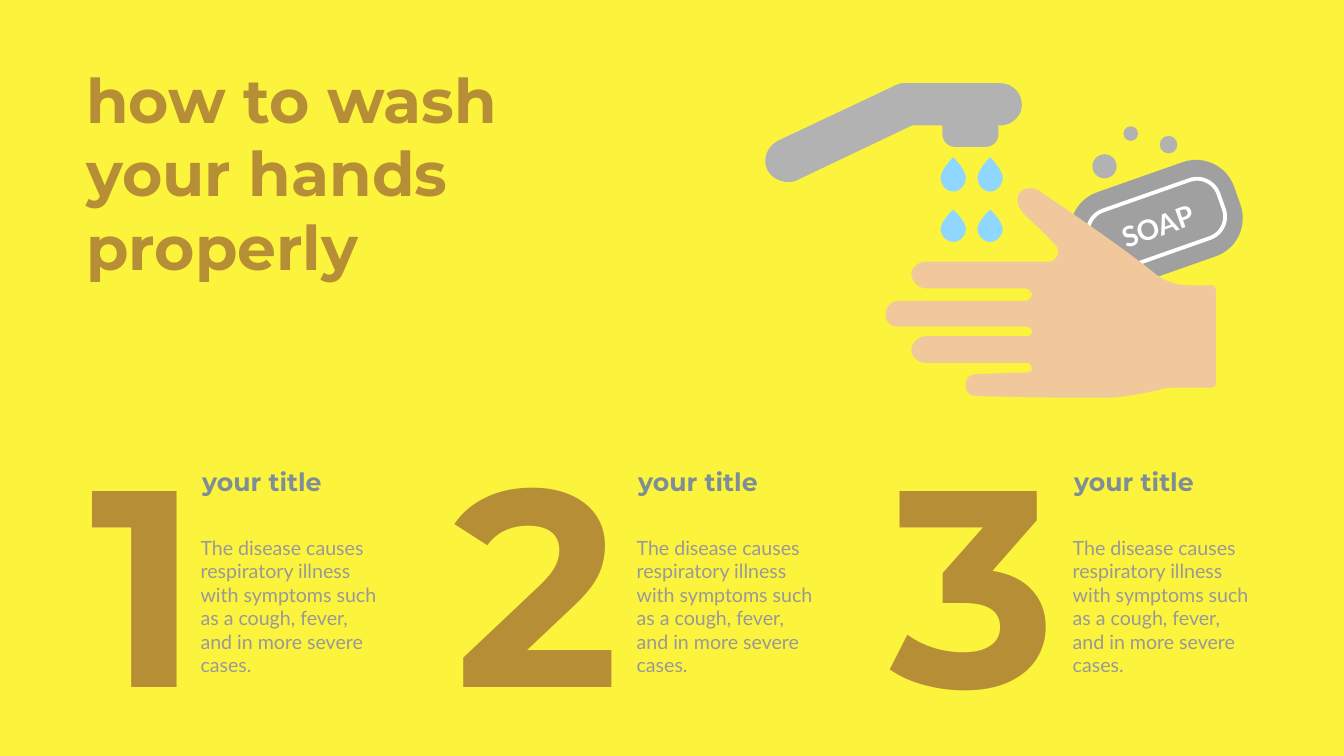
from dataclasses import dataclass

from pptx import Presentation
from pptx.dml.color import RGBColor
from pptx.enum.shapes import MSO_SHAPE
from pptx.enum.text import MSO_ANCHOR, MSO_AUTO_SIZE, PP_ALIGN
from pptx.util import Inches, Pt

OVAL = MSO_SHAPE.OVAL
ROUNDED = MSO_SHAPE.ROUNDED_RECTANGLE
TOP, MIDDLE = MSO_ANCHOR.TOP, MSO_ANCHOR.MIDDLE
LEFT, CENTER = PP_ALIGN.LEFT, PP_ALIGN.CENTER
FIXED_SIZE = MSO_AUTO_SIZE.NONE

COLUMNS, ROWS = 26.66, 15  # square grid cells
CELL = Inches(1)
TITLE_ONLY_LAYOUT = 5
CURVE_STEPS = 10


@dataclass(frozen=True)
class Theme:
    background: str = "FCF33D"
    accent: str = "B68E35"
    heading: str = "7E8E96"
    body: str = "999999"
    soap: str = "9FA09F"
    metal: str = "B1B2B1"
    skin: str = "F0C89C"
    water: str = "8FD7FF"
    white: str = "FFFFFF"
    display_font: str = "Montserrat"
    text_font: str = "Lato"
    title_size: int = 88
    number_size: int = 400
    heading_size: int = 36
    body_size: int = 28
    soap_size: int = 40


def cells(*values):
    return [round(value * CELL) for value in values]


def write_text(shape, text, *, font, size, color, bold=False, align=LEFT, anchor=TOP):
    frame = shape.text_frame
    frame.word_wrap = True
    frame.auto_size = FIXED_SIZE
    frame.vertical_anchor = anchor
    frame.margin_left = frame.margin_right = Inches(0.1)
    frame.margin_top = frame.margin_bottom = Inches(0.05)
    frame.text = text
    paragraph = frame.paragraphs[0]
    paragraph.alignment = align
    run_font = paragraph.runs[0].font
    run_font.name, run_font.size, run_font.bold = font, Pt(size), bold
    run_font.color.rgb = RGBColor.from_string(color)


def flatten(start, segments):
    """Turn line ends (x, y) and cubic curves (three points in one tuple) into points."""
    points = [start]
    for segment in segments:
        if len(segment) == 2:
            points.append(segment)
            continue
        x0, y0 = points[-1]
        x1, y1, x2, y2, x3, y3 = segment
        for step in range(1, CURVE_STEPS + 1):
            t = step / CURVE_STEPS
            a, b, c, d = (1 - t) ** 3, 3 * t * (1 - t) ** 2, 3 * t * t * (1 - t), t ** 3
            points.append((a * x0 + b * x1 + c * x2 + d * x3,
                           a * y0 + b * y1 + c * y2 + d * y3))
    return points


class SlideBuilder:
    def __init__(self, slide, theme):
        self.slide = slide
        self.theme = theme
        fill = slide.background.fill
        fill.solid()
        fill.fore_color.rgb = RGBColor.from_string(theme.background)

    def title(self, text, left, top, width, height, **style):
        shape = self.slide.shapes.title
        shape.left, shape.top, shape.width, shape.height = cells(left, top, width, height)
        write_text(shape, text, **style)

    def text(self, text, left, top, width, height, rotation=0, **style):
        shape = self.slide.shapes.add_textbox(*cells(left, top, width, height))
        shape.rotation = rotation
        write_text(shape, text, **style)

    def paint(self, shape, fill=None, line=None, line_width=0):
        shape.shadow.inherit = False
        if fill:
            shape.fill.solid()
            shape.fill.fore_color.rgb = RGBColor.from_string(fill)
        else:
            shape.fill.background()
        if line:
            shape.line.color.rgb = RGBColor.from_string(line)
            shape.line.width = Pt(line_width)
        else:
            shape.line.fill.background()

    def centered(self, kind, center, size, radius=None, rotation=0, **colors):
        """Add a preset shape around its centre, with a corner radius in cells."""
        (x, y), (width, height) = center, size
        shape = self.slide.shapes.add_shape(
            kind, *cells(x - width / 2, y - height / 2, width, height))
        if radius is not None:
            shape.adjustments[0] = radius / min(size)
        shape.rotation = rotation
        self.paint(shape, **colors)

    def outline(self, start, segments, fill):
        points = [cells(*point) for point in flatten(start, segments)]
        builder = self.slide.shapes.build_freeform(*points[0])
        builder.add_line_segments(points[1:], close=True)
        self.paint(builder.convert_to_shape(), fill)

    def step(self, number, number_left, text_left, heading, body):
        theme = self.theme
        self.text(number, number_left, 8.04, 3.72, 6.83, font=theme.display_font,
                  size=theme.number_size, color=theme.accent, bold=True)
        self.text(heading, text_left + 0.03, 9.21, 3.72, 0.71, font=theme.display_font,
                  size=theme.heading_size, color=theme.heading, bold=True)
        self.text(body, text_left, 10.58, 3.72, 2.93, font=theme.text_font,
                  size=theme.body_size, color=theme.body)

    def soap(self):
        theme, center, tilt = self.theme, (22.94, 4.45), -19.4
        self.centered(ROUNDED, center, (3.4, 1.98), 0.8, tilt, fill=theme.soap)
        self.centered(ROUNDED, center, (2.72, 1.22), 0.45, tilt,
                      line=theme.white, line_width=5.5)
        self.text("SOAP", 21.96, 3.98, 2, 1, tilt, font=theme.text_font,
                  size=theme.soap_size, color=theme.white, bold=True,
                  align=CENTER, anchor=MIDDLE)
        for x, y, diameter in ((21.91, 3.3, 0.48), (22.43, 2.65, 0.29), (23.18, 2.87, 0.35)):
            self.centered(OVAL, (x, y), (diameter, diameter), fill=theme.metal)

    def drop(self, x, top, height):
        widest, bottom = top + 0.6 * height, top + height
        self.outline((x, top), [
            (x, top, x + 0.25, top + 0.36 * height, x + 0.25, widest),
            (x + 0.25, bottom - 0.14, x + 0.14, bottom, x, bottom),
            (x - 0.14, bottom, x - 0.25, bottom - 0.14, x - 0.25, widest),
            (x - 0.25, top + 0.36 * height, x, top, x, top),
        ], self.theme.water)

    def faucet(self):
        self.centered(ROUNDED, (19.25, 2.48), (1.11, 0.87), 0.25, fill=self.theme.metal)
        self.outline((15.63, 3.61), [
            (15.47, 3.61, 15.31, 3.53, 15.22, 3.37), (15.12, 3.15, 15.22, 2.9, 15.44, 2.79),
            (17.79, 1.68), (17.84, 1.65, 17.93, 1.65, 17.98, 1.65), (19.83, 1.65),
            (20.08, 1.65, 20.27, 1.84, 20.27, 2.08), (20.27, 2.3, 20.08, 2.49, 19.83, 2.49),
            (18.09, 2.49), (15.8, 3.58), (15.75, 3.61, 15.69, 3.61, 15.63, 3.61),
        ], self.theme.metal)

    def hand(self):
        thumb = [
            (23.6, 5.66), (23.35, 5.66, 23.13, 5.59, 22.94, 5.45),
            (22.15, 4.81, 20.66, 3.82, 20.66, 3.82), (20.56, 3.72, 20.33, 3.69, 20.23, 3.82),
            (20.11, 3.99, 20.23, 4.18, 20.39, 4.32), (20.39, 4.32, 20.78, 4.68, 20.94, 4.87),
            (21.05, 4.97, 20.97, 5.19, 20.8, 5.19),
        ]
        fingers = [
            (18.36, 5.19), (18.25, 5.19, 18.12, 5.28, 18.08, 5.39),
            (18.06, 5.55, 18.2, 5.72, 18.36, 5.72), (20.33, 5.72),
            (20.39, 5.72, 20.45, 5.78, 20.47, 5.83), (20.47, 5.91, 20.39, 5.97, 20.33, 5.97),
            (17.84, 5.97), (17.7, 5.97, 17.6, 6.05, 17.57, 6.19),
            (17.54, 6.35, 17.65, 6.48, 17.81, 6.48), (20.37, 6.48),
            (20.42, 6.48, 20.47, 6.54, 20.47, 6.57), (20.47, 6.65, 20.42, 6.67, 20.37, 6.67),
            (18.36, 6.67), (18.25, 6.67, 18.12, 6.76, 18.08, 6.9),
            (18.06, 7.06, 18.2, 7.2, 18.36, 7.2), (20.37, 7.2),
            (20.42, 7.2, 20.47, 7.25, 20.47, 7.31), (20.47, 7.36, 20.42, 7.39, 20.37, 7.39),
            (19.4, 7.42), (19.27, 7.42, 19.16, 7.48, 19.16, 7.61),
            (19.13, 7.77, 19.24, 7.86, 19.4, 7.86),
        ]
        wrist = [
            (21.02, 7.89), (22.01, 7.89), (22.15, 7.89, 22.67, 7.82, 23.05, 7.72),
            (23.13, 7.69, 23.24, 7.69, 23.35, 7.69), (24.04, 7.69),
            (24.09, 7.69, 24.12, 7.64, 24.12, 7.58), (24.12, 5.78),
            (24.12, 5.72, 24.09, 5.66, 24.04, 5.66),
        ]
        self.outline((24.04, 5.66), thumb + fingers + wrist, self.theme.skin)


def main():
    presentation = Presentation()
    presentation.slide_width, presentation.slide_height = cells(COLUMNS, ROWS)
    layout = presentation.slide_layouts[TITLE_ONLY_LAYOUT]
    theme = Theme()
    builder = SlideBuilder(presentation.slides.add_slide(layout), theme)

    builder.title("how to wash your hands properly", 1.61, 1.17, 8.5, 4.54,
                  font=theme.display_font, size=theme.title_size,
                  color=theme.accent, bold=True)

    body = ("The disease causes respiratory illness with symptoms such as a cough, "
            "fever, and in more severe cases.")
    for index, number_left in enumerate((1.69, 8.92, 17.57)):
        builder.step(str(index + 1), number_left, 3.88 + 8.65 * index, "your title", body)

    builder.soap()
    builder.hand()
    for top, height in ((3.12, 0.68), (4.16, 0.64)):
        for x in (18.91, 19.64):
            builder.drop(x, top, height)
    builder.faucet()

    presentation.save("out.pptx")


if __name__ == "__main__":
    main()
